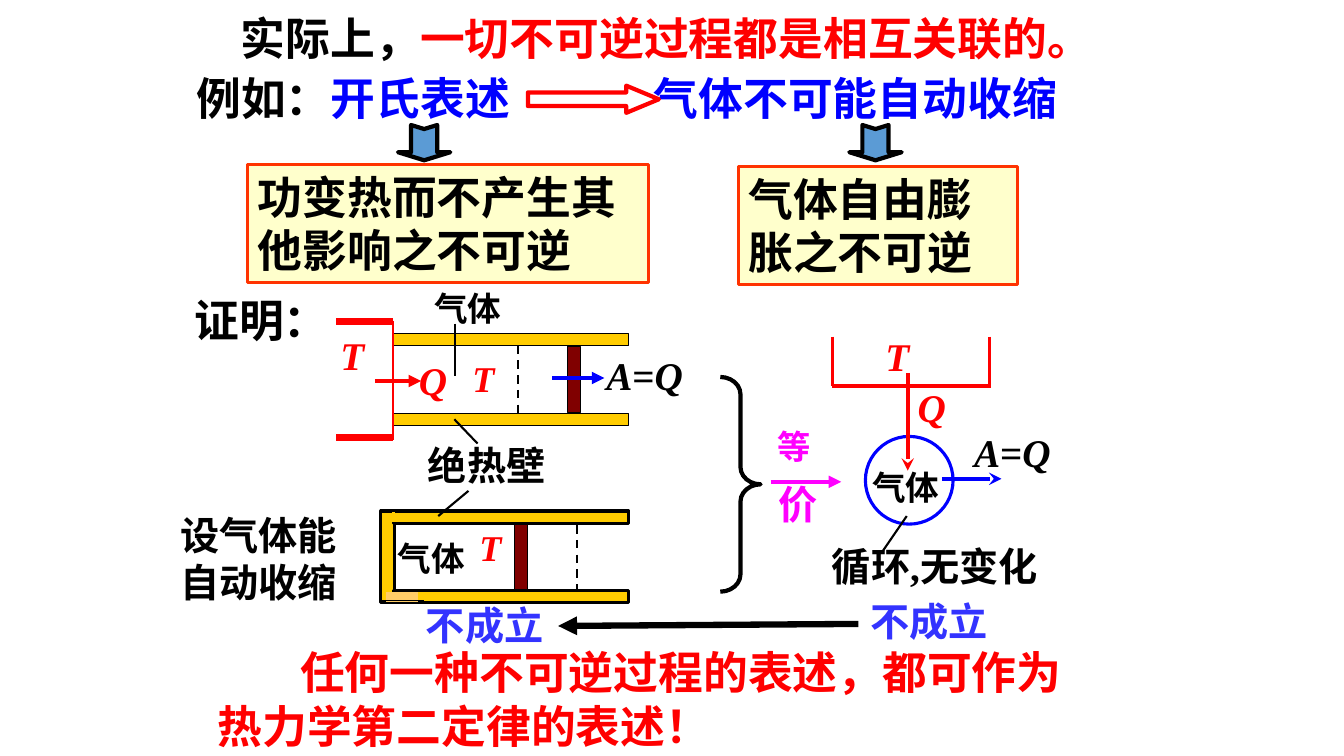
from dataclasses import dataclass

from lxml.etree import SubElement
from pptx import Presentation
from pptx.dml.color import RGBColor
from pptx.enum.dml import MSO_LINE
from pptx.enum.shapes import MSO_CONNECTOR, MSO_SHAPE
from pptx.enum.text import MSO_ANCHOR, MSO_AUTO_SIZE, PP_ALIGN
from pptx.oxml.ns import qn
from pptx.util import Inches, Pt


@dataclass(frozen=True)
class Theme:
    font: str = "Times New Roman"
    black: str = "000000"
    white: str = "FFFFFF"
    red: str = "FF0000"
    blue: str = "0000FF"
    violet: str = "3333FF"
    magenta: str = "FF00FF"
    steel: str = "5B9BD5"
    cream: str = "FFFFCC"
    orange: str = "FF3300"
    gold: str = "FFCC00"
    peach: str = "FFCC66"
    maroon: str = "800000"
    large: float = 32
    medium: float = 28
    symbol: float = 25.9
    equal: float = 23.8
    small: float = 24


theme = Theme()
presentation = Presentation()
presentation.slide_width = Inches(13.34)
presentation.slide_height = Inches(7.5)
CELL = presentation.slide_height // 750  # square grid: 1334 columns, 750 rows
slide = presentation.slides.add_slide(presentation.slide_layouts[5])
shapes = slide.shapes


def write_text(shape, *paragraphs, size=theme.medium, color=theme.black,
               italic=False, spacing=1.0, indent=0):
    """Fill a shape, or a new text box given as a grid area.

    A paragraph is a string or a list of (text, format overrides) pairs.
    """
    if isinstance(shape, tuple):
        shape = shapes.add_textbox(*(length * CELL for length in shape))
    frame = shape.text_frame
    frame.word_wrap = True
    frame.auto_size = MSO_AUTO_SIZE.NONE
    frame.vertical_anchor = MSO_ANCHOR.TOP
    for index, pieces in enumerate(paragraphs):
        paragraph = frame.add_paragraph() if index else frame.paragraphs[0]
        paragraph.alignment = PP_ALIGN.LEFT
        paragraph.line_spacing = spacing
        if indent:
            paragraph._p.get_or_add_pPr().set("indent", str(indent * CELL))
        for text, changes in [(pieces, {})] if isinstance(pieces, str) else pieces:
            run = paragraph.add_run()
            run.text = text
            run.font.name = theme.font
            run.font.size = Pt(size)
            run.font.bold = True
            run.font.italic = changes.get("italic", italic)
            run.font.color.rgb = RGBColor.from_string(changes.get("color", color))


def paint(shape, fill, line, weight):
    shape.shadow.inherit = False
    if fill:
        shape.fill.solid()
        shape.fill.fore_color.rgb = RGBColor.from_string(fill)
    else:
        shape.fill.background()
    shape.line.color.rgb = RGBColor.from_string(line)
    shape.line.width = Pt(weight)
    return shape


# Heading and example
title = shapes.title
title.left, title.top, title.width, title.height = (
    length * CELL for length in (229, 6, 917, 64))
write_text(title, [("实际上，", {}), ("一切不可逆过程都是相互关联的。", {"color": theme.red})],
           size=theme.large)
write_text((185, 65, 345, 64), [("例如：", {}), ("开氏表述", {"color": theme.blue})],
           size=theme.large)
write_text((639, 65, 488, 64), "气体不可能自动收缩", size=theme.large, color=theme.blue)
implies = paint(shapes.add_shape(MSO_SHAPE.RIGHT_ARROW, 524 * CELL, 85 * CELL,
                                 130 * CELL, 27 * CELL), theme.white, theme.red, 3)
implies.adjustments[1] = 1.2

# Notched arrows and the statements below them
for center, left, top, width, statement in [
    (421, 246, 163, 398, "功变热而不产生其他影响之不可逆"),
    (869, 733, 165, 277, "气体自由膨胀之不可逆"),
]:
    builder = shapes.build_freeform(center + 13, 124, scale=CELL)
    builder.add_line_segments([
        (center + 13, 151), (center + 26, 151), (center, 159), (center - 26, 151),
        (center - 13, 151), (center - 13, 124), (center, 128)])
    paint(builder.convert_to_shape(), theme.steel, theme.black, 3)
    box = paint(shapes.add_shape(MSO_SHAPE.RECTANGLE, left * CELL, top * CELL,
                                 width * CELL, 117 * CELL),
                theme.cream, theme.orange, 2.25)
    write_text(box, statement, size=theme.large)

# Brace, heat engine and cylinders
brace = paint(shapes.add_shape(MSO_SHAPE.RIGHT_BRACE, 715 * CELL, 374 * CELL,
                               40 * CELL, 213 * CELL), None, theme.black, 3)
brace.adjustments[0] = 0.43
paint(shapes.add_shape(MSO_SHAPE.OVAL, 859 * CELL, 433 * CELL, 87 * CELL, 87 * CELL),
      None, theme.blue, 2.25)
for left, top, width, height, fill, weight in [
    (391, 331, 233, 12, theme.gold, 0.75),
    (391, 410, 233, 12, theme.gold, 0.75),
    (563, 344, 13, 65, theme.maroon, 0.75),
    (378, 507, 14, 91, theme.gold, 2.25),
    (391, 507, 233, 12, theme.gold, 2.25),
    (391, 586, 233, 12, theme.gold, 2.25),
    (511, 520, 13, 65, theme.maroon, 0.75),
]:
    paint(shapes.add_shape(MSO_SHAPE.RECTANGLE, left * CELL, top * CELL,
                           width * CELL, height * CELL), fill, theme.black, weight)

# Lines: start, end, colour, weight, arrowhead, dashed
for x1, y1, x2, y2, color, weight, head, dashed in [
    (765, 478, 835, 478, theme.magenta, 3, "triangle", False),
    # heat source and upper cylinder
    (334, 319, 390, 319, theme.red, 4.5, None, False),
    (334, 434, 390, 434, theme.red, 4.5, None, False),
    (390, 318, 390, 437, theme.red, 1, None, False),
    (514, 343, 514, 410, theme.black, 1.5, None, True),
    (372, 378, 418, 378, theme.red, 3, "triangle", False),
    (548, 375, 600, 375, theme.blue, 3, "triangle", False),
    (451, 416, 474, 440, theme.black, 1.5, None, False),
    (452, 321, 452, 373, theme.black, 1.5, None, False),
    # heat source and cycle on the right
    (901, 370, 901, 467, theme.red, 3, "stealth", False),
    (826, 334, 826, 383, theme.red, 2.25, None, False),
    (826, 383, 984, 383, theme.red, 2.25, None, False),
    (982, 334, 982, 383, theme.red, 2.25, None, False),
    (935, 475, 994, 475, theme.blue, 3, "stealth", False),
    (876, 547, 900, 512, theme.black, 1.5, None, False),
    # lower cylinder
    (573, 521, 573, 589, theme.black, 1.5, None, True),
    (391, 508, 391, 518, theme.gold, 2.25, None, False),
    (435, 512, 465, 487, theme.black, 1.5, None, False),
    *[(383, y, 415, y, theme.peach, 4.5, None, False) for y in (590, 592, 594)],
    (377, 596, 421, 596, theme.black, 0.75, None, False),
    # conclusion
    (852, 619, 554, 621, theme.black, 4.5, "triangle", False),
]:
    connector = shapes.add_connector(MSO_CONNECTOR.STRAIGHT, x1 * CELL, y1 * CELL,
                                     x2 * CELL, y2 * CELL)
    connector.line.color.rgb = RGBColor.from_string(color)
    connector.line.width = Pt(weight)
    if dashed:
        connector.line.dash_style = MSO_LINE.DASH
    properties = connector._element.spPr
    if head:
        SubElement(properties.find(qn("a:ln")), qn("a:tailEnd"), type=head)
    SubElement(properties, qn("a:effectLst"))

# Labels
work = [("A", {"italic": True}), ("=", {}), ("Q", {"italic": True})]
for area in [(592, 344, 141, 60), (957, 420, 175, 58)]:
    write_text(area, work)
for area, letter in [((406, 349, 54, 63), "Q"), ((901, 375, 54, 70), "Q"),
                     ((328, 324, 44, 58), "T"), ((869, 325, 44, 58), "T")]:
    write_text(area, letter, color=theme.red, italic=True)
for area in [(459, 353, 43, 54), (466, 521, 50, 55)]:
    write_text(area, "T", size=theme.symbol, color=theme.red, italic=True, spacing=0.9)
for area in [(421, 281, 135, 50), (856, 458, 100, 50), (385, 529, 121, 50)]:
    write_text(area, "气体", size=theme.small)
for area in [(854, 588, 169, 57), (413, 592, 169, 57)]:
    write_text(area, "不成立", color=theme.violet)
write_text((762, 422, 60, 50), "等", size=theme.equal, color=theme.magenta, spacing=0.9)
write_text((763, 472, 59, 70), "价", color=theme.magenta)
write_text((415, 433, 166, 60), "绝热壁")
write_text((816, 533, 277, 66), "循环,无变化")
write_text((169, 502, 198, 115), "设气体能", "自动收缩")
write_text((183, 285, 144, 117), "证明：", size=theme.large)
write_text((206, 635, 898, 117), "任何一种不可逆过程的表述，都可作为热力学第二定律的表述！",
           size=theme.large, color=theme.red, indent=82)

presentation.save("out.pptx")
